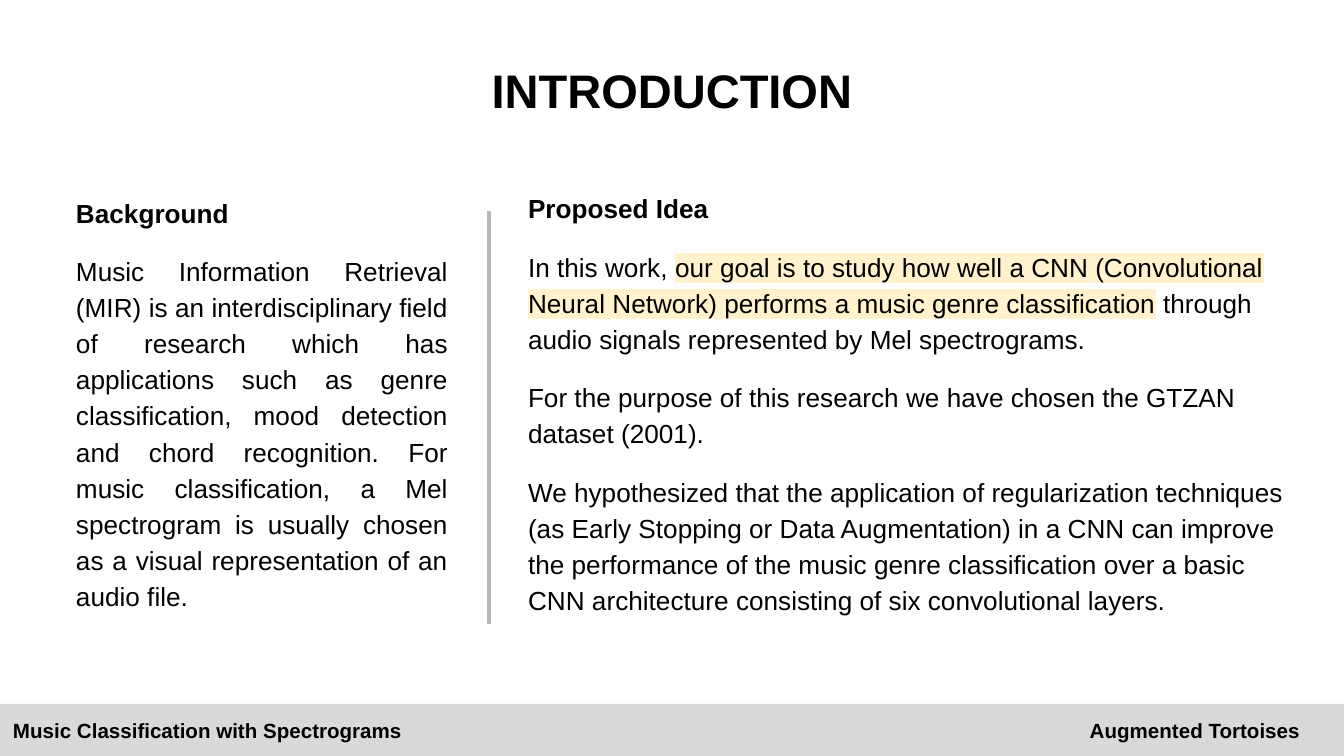
import pptx
import pptx.dml.color
import pptx.enum.shapes
import pptx.enum.text
import pptx.oxml
import pptx.oxml.ns
import pptx.util

WIDTH, HEIGHT = 1344, 756
SCALE = 9144000 / WIDTH
INSET = 13
ALIGN = pptx.enum.text.PP_ALIGN
ANCHOR = pptx.enum.text.MSO_ANCHOR
SHAPES = pptx.enum.shapes.MSO_SHAPE
CONNECTORS = pptx.enum.shapes.MSO_CONNECTOR

BACKGROUND = (
    "Music Information Retrieval (MIR) is an interdisciplinary field of research which has "
    "applications such as genre classification, mood detection and chord recognition. For music "
    "classification, a Mel spectrogram is usually chosen as a visual representation of an audio file."
)
GOAL = (
    ("In this work, ", {}),
    ("our goal is to study how well a CNN (Convolutional Neural Network) performs "
     "a music genre classification", {"highlight": "FFF2CC"}),
    (" through audio signals represented by Mel spectrograms.", {}),
)
DATASET = "For the purpose of this research we have chosen the GTZAN dataset (2001)."
HYPOTHESIS = (
    "We hypothesized that the application of regularization techniques (as Early Stopping or Data "
    "Augmentation) in a CNN can improve the performance of the music genre classification over "
    "a basic CNN architecture consisting of six convolutional layers."
)


def px(length):
    return pptx.util.Emu(round(length * SCALE))


def color(value):
    return pptx.dml.color.RGBColor.from_string(value)


def set_values(target, values):
    for name, value in values.items():
        setattr(target, name, value)


def make_element(xml):
    return pptx.oxml.parse_xml(xml.replace("NS", pptx.oxml.ns.nsdecls("a")))


def add_run(paragraph, text, size, bold=False, highlight=None):
    run = paragraph.add_run()
    run.text = text
    set_values(run.font, {"size": pptx.util.Pt(size), "bold": bold, "name": "Arial"})
    run.font.color.rgb = color("000000")
    if highlight:
        fill = run.font._element.find(pptx.oxml.ns.qn("a:solidFill"))
        fill.addnext(make_element(f'<a:highlight NS><a:srgbClr val="{highlight}"/></a:highlight>'))


def prepare_frame(shape, anchor):
    frame = shape.text_frame
    margins = {f"margin_{side}": px(INSET) for side in ("left", "top", "right", "bottom")}
    set_values(frame, {"word_wrap": True, "vertical_anchor": anchor, **margins})
    return frame


def add_text_box(slide, box, anchor=ANCHOR.TOP):
    return prepare_frame(slide.shapes.add_textbox(*map(px, box)), anchor)


def add_title(slide, text):
    paragraph = add_text_box(slide, (46, 47, 1252, 85), ANCHOR.MIDDLE).paragraphs[0]
    paragraph.alignment = ALIGN.CENTER
    add_run(paragraph, text, 25.2, bold=True)


def add_section(slide, box, heading, bodies, alignment, anchor):
    frame = add_text_box(slide, box, anchor)
    layout = {"alignment": alignment, "line_spacing": 1.15}
    paragraph = frame.paragraphs[0]
    set_values(paragraph, layout)
    add_run(paragraph, heading, 14, bold=True)
    for runs in bodies:
        paragraph = frame.add_paragraph()
        set_values(paragraph, {**layout, "space_before": pptx.util.Pt(12)})
        for text, style in runs:
            add_run(paragraph, text, 14, **style)


def add_divider(slide, x, top, bottom):
    line = slide.shapes.add_connector(CONNECTORS.STRAIGHT, px(x), px(top), px(x), px(bottom))
    line.line.color.rgb = color("B7B7B7")
    line.line.width = pptx.util.Pt(2.25)
    line._element.spPr.append(make_element("<a:effectLst NS/>"))


def add_footer(slide, left_text, right_text):
    top = 704
    bar = slide.shapes.add_shape(SHAPES.RECTANGLE, *map(px, (0, top, WIDTH, HEIGHT - top)))
    bar.shadow.inherit = False
    bar.fill.solid()
    bar.fill.fore_color.rgb = color("D9D9D9")
    bar.line.fill.background()
    paragraph = prepare_frame(bar, ANCHOR.MIDDLE).paragraphs[0]
    paragraph.alignment = ALIGN.LEFT
    tab = px(1300 - INSET)
    paragraph._p.get_or_add_pPr().append(
        make_element(f'<a:tabLst NS><a:tab pos="{tab}" algn="r"/></a:tabLst>'))
    add_run(paragraph, f"{left_text}\t{right_text}", 11, bold=True)


def main():
    presentation = pptx.Presentation()
    set_values(presentation, {"slide_width": px(WIDTH), "slide_height": px(HEIGHT)})
    slide = presentation.slides.add_slide(presentation.slide_layouts[6])
    add_title(slide, "INTRODUCTION")
    add_section(slide, (63, 179, 398, 446), "Background", [[(BACKGROUND, {})]],
                ALIGN.JUSTIFY, ANCHOR.MIDDLE)
    add_footer(slide, "Music Classification with Spectrograms", "Augmented Tortoises")
    add_section(slide, (515, 175, 784, 454), "Proposed Idea",
                [GOAL, [(DATASET, {})], [(HYPOTHESIS, {})]], ALIGN.LEFT, ANCHOR.TOP)
    add_divider(slide, 489, 211, 624)
    presentation.save("out.pptx")


if __name__ == "__main__":
    main()
